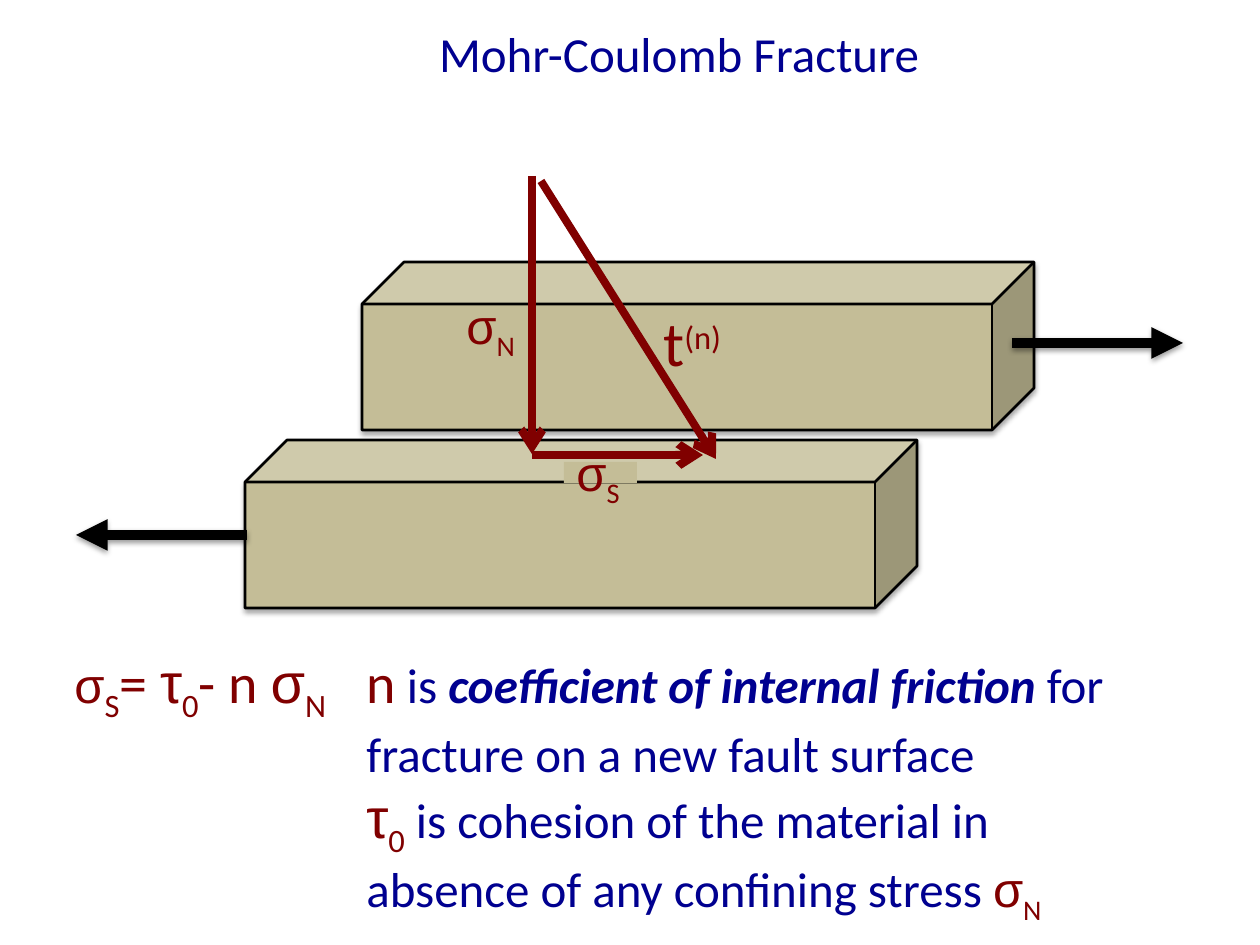
from dataclasses import dataclass

from lxml import etree
from pptx import Presentation
from pptx.dml.color import RGBColor
from pptx.enum.shapes import MSO_CONNECTOR, MSO_SHAPE
from pptx.enum.text import MSO_ANCHOR, MSO_AUTO_SIZE, PP_ALIGN
from pptx.oxml.ns import qn
from pptx.util import Pt

LINE = MSO_CONNECTOR.STRAIGHT
CUBE, RECT = MSO_SHAPE.CUBE, MSO_SHAPE.RECTANGLE
MIDDLE, CENTER = MSO_ANCHOR.MIDDLE, PP_ALIGN.CENTER
GROW = MSO_AUTO_SIZE.SHAPE_TO_FIT_TEXT
SCALE = 914400 / 126


@dataclass(frozen=True)
class Theme:
    navy: str = "000090"
    red: str = "800000"
    rock: str = "C4BD97"
    black: str = "000000"
    latin: str = "Calibri"
    greek: str = "Arial"
    body: int = 28
    large: int = 32
    huge: int = 36


def emu(px):
    return round(px * SCALE)


def rgb(code):
    return RGBColor.from_string(code)


class Board:
    def __init__(self, theme, wide, high):
        self.theme = theme
        self.deck = Presentation()
        self.deck.slide_width = emu(wide)
        self.deck.slide_height = emu(high)
        self.slide = self.deck.slides.add_slide(self.deck.slide_layouts[6])

    def shade(self, shape, alpha=0, dist=0):
        props = shape._element.spPr
        for old in props.findall(qn("a:effectLst")):
            props.remove(old)
        effect = etree.SubElement(props, qn("a:effectLst"))
        if alpha:
            outer = etree.SubElement(effect, qn("a:outerShdw"), blurRad=str(Pt(3.1)),
                                     dist=str(Pt(dist)), dir="5400000", rotWithShape="0")
            color = etree.SubElement(outer, qn("a:srgbClr"), val=self.theme.black)
            etree.SubElement(color, qn("a:alpha"), val=str(alpha * 1000))

    def solid(self, kind, left, top, wide, high):
        shape = self.slide.shapes.add_shape(kind, *map(emu, (left, top, wide, high)))
        shape.shadow.inherit = False
        shape.fill.solid()
        shape.fill.fore_color.rgb = rgb(self.theme.rock)
        return shape

    def block(self, left, top):
        shape = self.solid(CUBE, left, top, 672, 168)
        shape.line.color.rgb = rgb(self.theme.black)
        shape.line.width = Pt(1.5)
        self.shade(shape, 35, 1.8)

    def patch(self, *area):
        self.solid(RECT, *area).line.fill.background()

    def arrow(self, start, end, color, width, tip):
        line = self.slide.shapes.add_connector(LINE, *map(emu, start + end))
        line.line.color.rgb = rgb(color)
        line.line.width = Pt(width)
        etree.SubElement(line.line._get_or_add_ln(), qn("a:tailEnd"), type=tip)
        return line

    def pull(self, start, end):
        self.shade(self.arrow(start, end, self.theme.black, 6, "triangle"), 38, 1.6)

    def stress(self, start, end):
        self.shade(self.arrow(start, end, self.theme.red, 4.5, "arrow"))

    def box(self, left, top, wide, high, wrap=True):
        shape = self.slide.shapes.add_textbox(*map(emu, (left, top, wide, high)))
        shape.text_frame.word_wrap = wrap
        return shape.text_frame

    def fill(self, para, parts):
        for text, size, color, base, bold in parts:
            run = para.add_run()
            run.text = text
            font = run.font
            greek = text in ("σ", "τ")
            font.name = self.theme.greek if greek else self.theme.latin
            font.size = Pt(size)
            font.color.rgb = rgb(color)
            if bold:
                font.bold = font.italic = True
            if base:
                run._r.get_or_add_rPr().set("baseline", str(base * 1000))

    def title(self, text, *area):
        frame = self.box(*area)
        frame.vertical_anchor = MIDDLE
        para = frame.paragraphs[0]
        para.alignment = CENTER
        self.fill(para, [(text, self.theme.body, self.theme.navy, 0, False)])

    def label(self, parts, *area):
        frame = self.box(*area, wrap=False)
        frame.auto_size = GROW
        self.fill(frame.paragraphs[0], parts)

    def notes(self, items, *area, indent):
        frame = self.box(*area)
        frame.auto_size = GROW
        for i, (first, parts) in enumerate(items):
            para = frame.add_paragraph() if i else frame.paragraphs[0]
            props = para._p.get_or_add_pPr()
            props.set("marL", str(emu(indent)))
            props.set("indent", str(emu(first)))
            self.fill(para, parts)


def main():
    theme = Theme()
    board = Board(theme, 1260, 945)

    def red(text, size=theme.body, base=0):
        return text, size, theme.red, base, False

    def blue(text, bold=False):
        return text, theme.body, theme.navy, 0, bold

    def sign(letter, sub, size=theme.body, tail=theme.body):
        return [red(letter, size), red(sub, tail, -25)]

    board.title("Mohr-Coulomb Fracture", 112, 0, 1134, 105)
    board.block(362, 262)
    board.pull((1012, 343), (1183, 343))
    board.block(245, 440)
    board.pull((247, 535), (76, 535))
    board.stress((532, 176), (532, 454))
    board.stress((541, 181), (716, 459))
    board.stress((532, 455), (703, 455))
    board.label(sign("σ", "N"), 454, 289, 77, 72)
    board.patch(564, 462, 73, 21)
    board.label(sign("σ", "S"), 564, 436, 73, 72)
    board.label([red("t", theme.huge), red("(n)", theme.large, 30)], 651, 297, 89, 89)

    big = theme.large
    law = [*sign("σ", "S", tail=big), red("= ", big), *sign("τ", "0", big, big),
           red("- n ", big), *sign("σ", "N", big, big), red("\tn", big), blue(" is "),
           blue("coefficient of internal friction ", True),
           blue("for fracture on a new fault surface")]
    bond = [*sign("τ", "0", big, big),
            blue(" is cohesion of the material in absence of any confining stress "),
            *sign("σ", "N")]
    board.notes([(-292, law), (0, bond)], 62, 641, 1108, 267, indent=292)
    board.deck.save("out.pptx")


if __name__ == "__main__":
    main()
